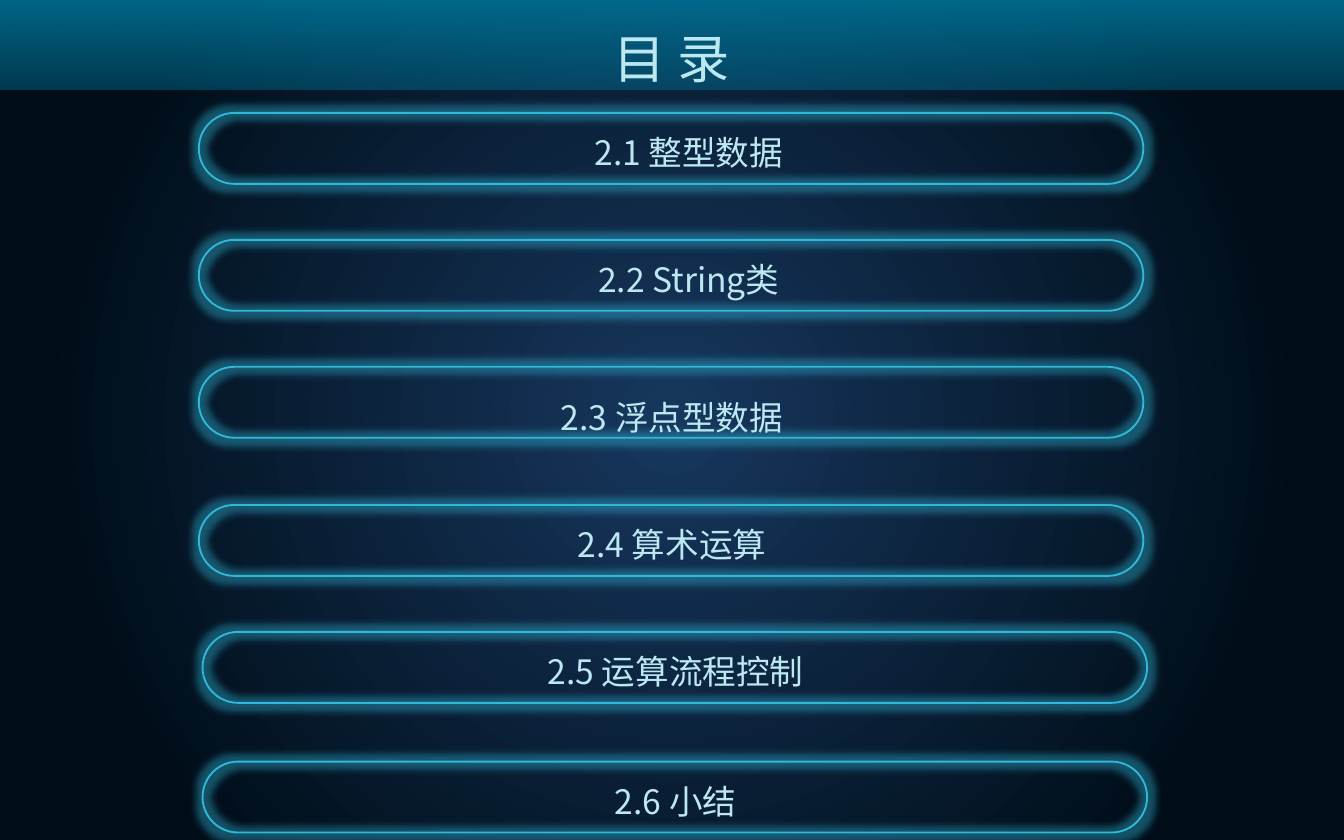
"""Build a contents slide with six glowing pill-shaped entries."""
from lxml.etree import SubElement as Sub
from pptx import Presentation
from pptx.dml.color import RGBColor as Rgb
from pptx.enum.shapes import MSO_SHAPE as Kind
from pptx.enum.text import MSO_ANCHOR as Anchor, MSO_AUTO_SIZE as Auto, PP_ALIGN as Align
from pptx.oxml.ns import qn
from pptx.util import Pt

TITLE = "目 录"
ITEMS = [
    ("2.1 整型数据", 106.5, 60.5, 6.7, 141.5, 242),
    ("2.2 String类", 106.5, 128.5, 6.7, 141.5, 242),
    ("2.3 浮点型数据", 106.5, 196.5, 12.5, 141.5, 224),
    ("2.4 算术运算", 106.5, 270.5, 6.7, 141.5, 224),
    ("2.5 运算流程控制", 108.5, 338.5, 6.7, 141.5, 224),
    ("2.6 小结", 108.5, 408, 6.7, 141.5, 224),
]
HUES = {"navy": "17375E", "night": "000D18", "band": "007DA4",
        "edge": "30B8D8", "text": "BCE8F2", "deep": "4EC3DE"}
FONT = "Noto Sans CJK SC"
PILL = (506, 38)


def tint(node, hue, alpha=100):
    clr = Sub(node, qn("a:srgbClr"), val=HUES[hue])
    if alpha < 100:
        Sub(clr, qn("a:alpha"), val=str(alpha * 1000))


def blend(host, stops, angle=None):
    old = host.find(qn("a:solidFill"))
    grad = Sub(host, qn("a:gradFill"), rotWithShape="1")
    host.replace(old, grad)
    row = Sub(grad, qn("a:gsLst"))
    for pos, hue, alpha in stops:
        tint(Sub(row, qn("a:gs"), pos=str(pos * 1000)), hue, alpha)
    if angle is None:
        way = Sub(grad, qn("a:path"), path="circle")
        Sub(way, qn("a:fillToRect"), l="50000", t="50000", r="50000", b="50000")
    else:
        Sub(grad, qn("a:lin"), ang=str(angle * 60000), scaled="0")


def write(slide, text, box, size):
    frame = slide.shapes.add_textbox(*map(Pt, box)).text_frame
    frame.word_wrap = True
    frame.auto_size = Auto.SHAPE_TO_FIT_TEXT
    para = frame.paragraphs[0]
    para.alignment = Align.CENTER
    run = para.add_run()
    run.text = text
    run.font.size = Pt(size)
    run.font.name = FONT
    run.font.color.rgb = Rgb.from_string(HUES["text"])
    Sub(run.font._element, qn("a:ea"), typeface=FONT)
    return frame, para, run


def pill(slide, left, top):
    shape = slide.shapes.add_shape(Kind.ROUNDED_RECTANGLE, *map(Pt, (left, top, *PILL)))
    shape.adjustments[0] = 0.5
    shape.fill.background()
    shape.line.color.rgb = Rgb.from_string(HUES["edge"])
    shape.line.width = Pt(1)
    shape.shadow.inherit = False
    fx = shape._element.spPr.find(qn("a:effectLst"))
    tint(Sub(fx, qn("a:glow"), rad=str(Pt(8))), "edge", 40)


def main():
    deck = Presentation()
    deck.slide_width, deck.slide_height = Pt(720), Pt(450)
    slide = deck.slides.add_slide(deck.slide_layouts[6])
    slide.background.fill.solid()
    blend(slide.element.xpath(".//p:bgPr")[0], [(0, "navy", 100), (80, "night", 100)])

    band = slide.shapes.add_shape(Kind.RECTANGLE, Pt(0), Pt(0), Pt(720), Pt(48))
    band.shadow.inherit = False
    band.line.fill.background()
    band.fill.solid()
    blend(band._element.spPr, [(0, "band", 80), (100, "band", 39)], 90)

    for text, left, top, drop, inset, width in ITEMS:
        pill(slide, left, top)
        write(slide, text, (left + inset, top + drop, width, 29), 18)

    frame, para, run = write(slide, TITLE, (300.5, 3.6, 118.5, 48), 28)
    frame.vertical_anchor = Anchor.MIDDLE
    para.line_spacing = 1.2
    blend(run.font._element, [(0, "deep", 100), (40, "text", 100),
                              (60, "text", 100), (100, "deep", 100)], 0)
    deck.save("out.pptx")


if __name__ == "__main__":
    main()
